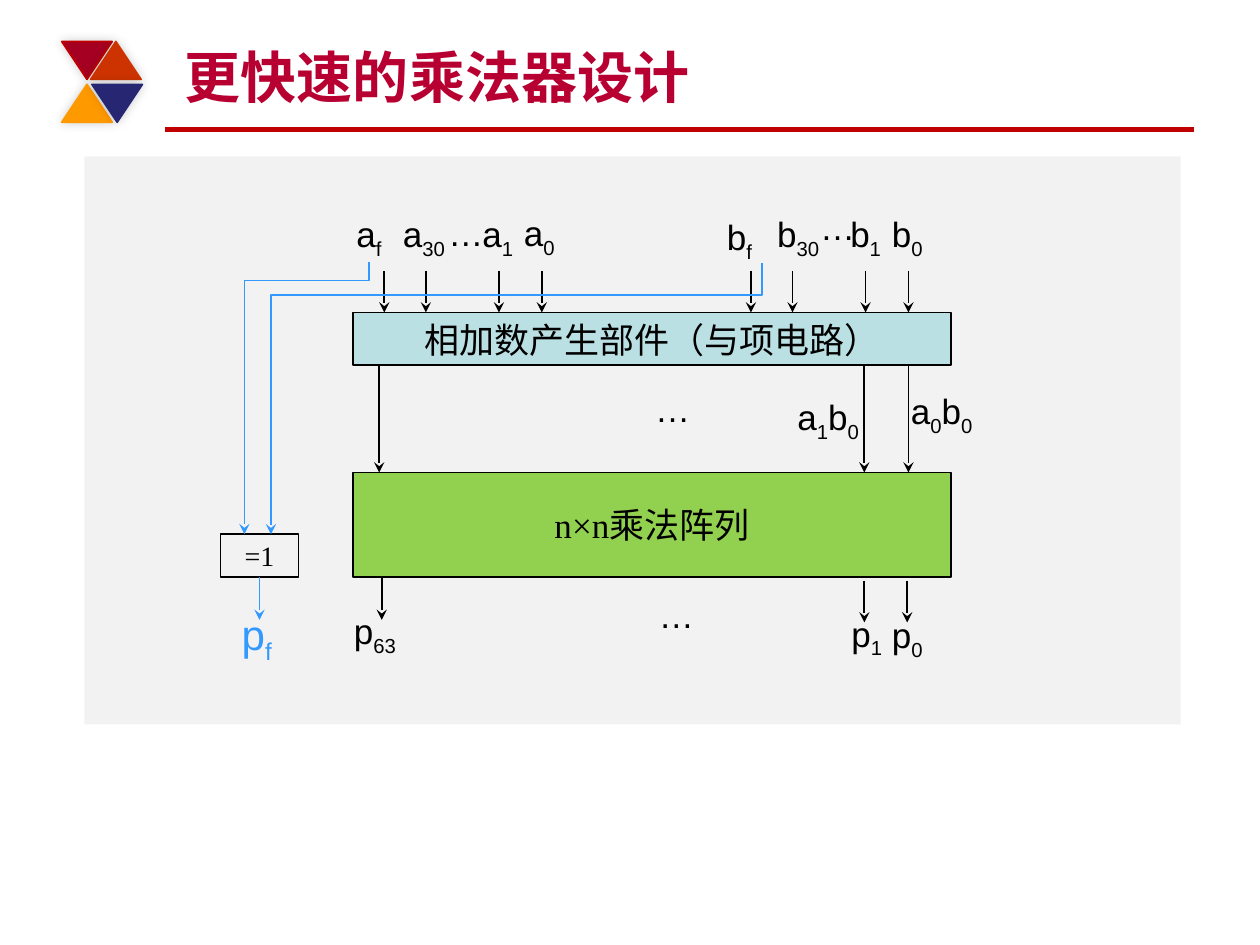
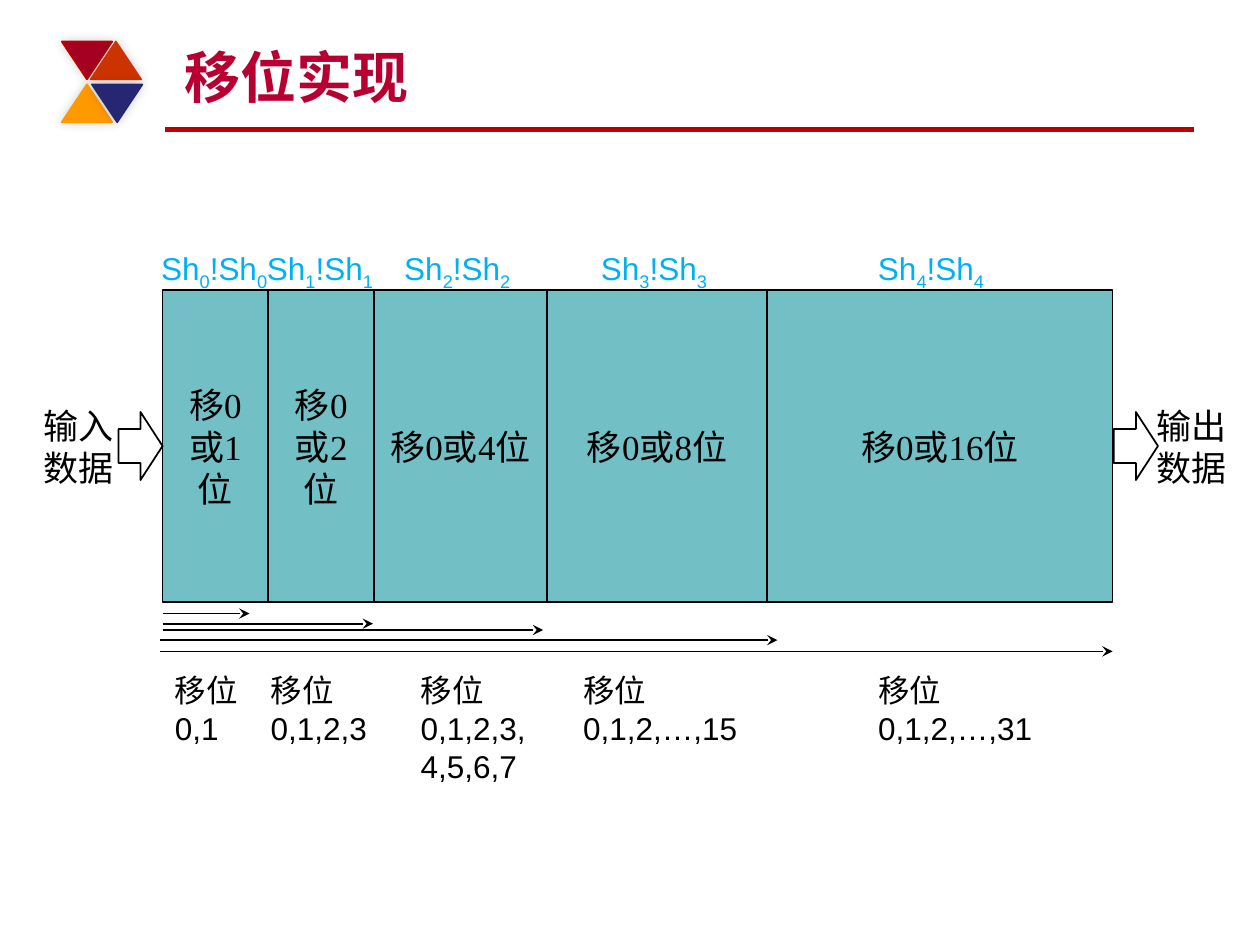
from dataclasses import dataclass

from pptx import Presentation, oxml, util as u
from pptx.dml.color import RGBColor
from pptx.enum import shapes, text
from pptx.oxml import ns

I = u.Inches
MSO = shapes.MSO_SHAPE
MID = text.MSO_ANCHOR.MIDDLE


@dataclass(frozen=True)
class Theme:
    font: str = "Arial"
    serif: str = "Times New Roman"
    title: str = "B70031"
    rule: str = "C00000"
    ink: str = "000000"
    panel: str = "F2F2F2"
    addend: str = "BBE0E3"
    array: str = "92D050"
    sign: str = "3399FF"
    stage: str = "72BFC5"
    control: str = "00B0F0"
    title_size: int = 32
    sign_size: int = 24
    size: int = 20
    note_size: int = 18
    gate_size: int = 16


T = Theme()


def put(s, words, x, y, w, h, size=T.size, color=T.ink, font=T.font, bold=False,
        kind=None, fill=None, line=None, anchor=text.MSO_ANCHOR.TOP, wrap=True):
    """Add a text box, or a centred shape if kind is given; ~ marks put subscripts between them."""
    box = I(x), I(y), I(w), I(h)
    if kind is None:
        sp = s.shapes.add_textbox(*box)
    else:
        sp = s.shapes.add_shape(kind, *box)
        sp.shadow.inherit = False
        if fill:
            sp.fill.solid()
            sp.fill.fore_color.rgb = RGBColor.from_string(fill)
        else:
            sp.fill.background()
        if line:
            sp.line.color.rgb = RGBColor.from_string(line)
            sp.line.width = u.Pt(1)
        else:
            sp.line.fill.background()
    tf = sp.text_frame
    tf.word_wrap = wrap
    tf.vertical_anchor = anchor
    for i, row in enumerate(words.split("\n") if words else []):
        p = tf.add_paragraph() if i else tf.paragraphs[0]
        p.alignment = text.PP_ALIGN.CENTER if kind else text.PP_ALIGN.LEFT
        for j, part in enumerate(row.split("~")):
            if not part:
                continue
            r = p.add_run()
            r.text = part
            r.font.name, r.font.size, r.font.bold = font, u.Pt(size), bold
            r.font.color.rgb = RGBColor.from_string(color)
            if j % 2:
                r.font._element.set("baseline", "-25000")
    return sp


def connect(s, x1, y1, x2, y2, color=T.ink, width=1, head=True, bend=None):
    """Draw a line; bend is the share of the drop at which an elbow turns left."""
    if bend is None:
        c = s.shapes.add_connector(shapes.MSO_CONNECTOR.STRAIGHT, I(x1), I(y1), I(x2), I(y2))
    else:
        # The elbow is laid out sideways about its centre, then turned by 90 degrees.
        run, drop = x1 - x2, y2 - y1
        left, top = (x1 + x2 - drop) / 2, (y1 + y2 - run) / 2
        c = s.shapes.add_connector(shapes.MSO_CONNECTOR.ELBOW, I(left), I(top),
                                   I(left + drop), I(top + run))
        c._element.spPr.find(ns.qn("a:xfrm")).set("rot", "5400000")
        guides = c._element.spPr.find(ns.qn("a:prstGeom")).get_or_add_avLst()
        guide = oxml.parse_xml(f'<a:gd {ns.nsdecls("a")} name="adj1" fmla="val {round(bend * 100000)}"/>')
        guides.append(guide)
    c.line.color.rgb = RGBColor.from_string(color)
    c.line.width = u.Pt(width)
    if head:
        c.line._get_or_add_ln().append(oxml.parse_xml(f'<a:tailEnd {ns.nsdecls("a")} type="stealth"/>'))
    c._element.spPr.append(oxml.parse_xml(f'<a:effectLst {ns.nsdecls("a")}/>'))
    return c


prs = Presentation()
prs.slide_width, prs.slide_height = I(10), I(7.5)

# Frame shared by both slides: x, y, rotation, fill, outline of each ornament triangle
ORNAMENT = [
    (0.49, 0.33, 180, "A50021", "C00000"),
    (0.72, 0.33, 0, "CC3300", "CC3300"),
    (0.49, 0.67, 0, "FF9900", "FF9900"),
    (0.73, 0.67, 180, "262673", "262673"),
]
SHADOW = (f'<a:outerShdw {ns.nsdecls("a")} blurRad="76200" dist="0" dir="18900000">'
          '<a:srgbClr val="000000"><a:alpha val="20000"/></a:srgbClr></a:outerShdw>')
slides = []
for heading in ("更快速的乘法器设计", "移位实现"):
    s = prs.slides.add_slide(prs.slide_layouts[6])
    connect(s, 1.31, 1.03, 9.48, 1.03, T.rule, width=3, head=False)
    for x, y, turn, fill, line in ORNAMENT:
        sp = put(s, "", x, y, 0.4, 0.3, kind=MSO.ISOSCELES_TRIANGLE, fill=fill, line=line)
        sp.rotation = turn
        sp._element.spPr.find(ns.qn("a:effectLst")).append(oxml.parse_xml(SHADOW))
    put(s, heading, 1.37, 0.25, 8, 0.67, T.title_size, T.title, bold=True,
        anchor=text.MSO_ANCHOR.BOTTOM)
    slides.append(s)

# Slide 1: multiplier with AND terms, array and sign gate
s = slides[0]
put(s, "", 0.67, 1.24, 8.7, 4.51, kind=MSO.RECTANGLE, fill=T.panel)
put(s, "相加数产生部件（与项电路）", 2.8, 2.48, 4.75, 0.42, font=T.serif,
    kind=MSO.RECTANGLE, fill=T.addend, line=T.ink)
put(s, "n×n乘法阵列", 2.8, 3.75, 4.75, 0.83, font=T.serif,
    kind=MSO.RECTANGLE, fill=T.array, line=T.ink, anchor=MID)
gate = put(s, "=1", 1.75, 4.24, 0.62, 0.34, T.gate_size, font=T.serif,
           kind=MSO.RECTANGLE, line=T.ink, anchor=MID)

for operand_x in (3.05, 5.96):
    for dx in (0, 0.33, 0.91, 1.25):
        connect(s, operand_x + dx, 2.15, operand_x + dx, 2.48)
for x in (3.01, 6.86, 7.21):
    connect(s, x, 2.9, x, 3.75)
for x, y in ((3.03, 4.59), (6.86, 4.61), (7.2, 4.61)):
    connect(s, x, y, x, y + 0.33)
connect(s, 2.93, 2.08, 1.94, 4.24, T.sign, bend=0.068)
connect(s, 6.05, 2.09, 2.15, 4.24, T.sign, bend=0.118)
connect(s, 2.06, 4.58, 2.06, 4.92, T.sign).begin_connect(gate, 2)

for label, x, y, w in [
    ("a~f~", 2.73, 1.64, 0.41), ("a~30~", 3.1, 1.64, 0.56), ("…", 3.46, 1.63, 0.48),
    ("a~1~", 3.73, 1.64, 0.46), ("a~0~", 4.06, 1.63, 0.46),
    ("b~f~", 5.67, 1.66, 0.41), ("b~30~", 6.07, 1.64, 0.56), ("…", 6.41, 1.58, 0.48),
    ("b~1~", 6.65, 1.64, 0.46), ("b~0~", 6.98, 1.64, 0.46),
    ("…", 5.1, 3.03, 0.48), ("a~1~b~0~", 6.23, 3.09, 0.72), ("a~0~b~0~", 7.13, 3.04, 0.72),
    ("p~63~", 2.71, 4.79, 0.56), ("…", 5.13, 4.66, 0.48),
    ("p~1~", 6.66, 4.81, 0.46), ("p~0~", 6.98, 4.82, 0.46),
]:
    put(s, label, x, y, w, 0.44, wrap=False)
put(s, "p~f~", 1.82, 4.78, 0.45, 0.5, T.sign_size, T.sign, wrap=False)

# Slide 2: five shifter stages between input and output
s = slides[1]
edges = [1.29, 2.13, 2.97, 4.34, 6.09, 8.83]
# control x, control width, reach from x, reach to x, reach y, shifts, shifts x, shifts width
stages = [
    (1.18, 1.18, 1.29, 1.98, 4.87, "0,1", 1.29, 0.97),
    (2.02, 1.18, 1.29, 2.96, 4.95, "0,1,2,3", 2.05, 0.97),
    (3.11, 1.18, 1.29, 4.31, 5, "0,1,2,3,4,5,6,7", 3.24, 1.07),
    (4.67, 1.18, 1.27, 6.17, 5.08, "0,1,2,…,15", 4.53, 1.84),
    (6.87, 1.76, 1.27, 8.83, 5.17, "0,1,2,…,31", 6.87, 1.71),
]
for n, (cx, cw, x1, x2, y, shifts, tx, tw) in enumerate(stages):
    put(s, f"移0或{2 ** n}位", edges[n], 2.3, edges[n + 1] - edges[n], 2.48, font=T.serif,
        kind=MSO.RECTANGLE, fill=T.stage, line=T.ink, anchor=MID)
    put(s, f"Sh~{n}~!Sh~{n}~", cx, 1.93, cw, 0.4, T.note_size, T.control)
    connect(s, x1, y, x2, y)
    put(s, f"移位\n{shifts}", tx, 5.28, tw, 0.71, T.note_size)

for arrow_x, label, label_x in ((0.94, "输入数据", 0.25), (8.84, "输出数据", 9.08)):
    put(s, "", arrow_x, 3.27, 0.35, 0.54, kind=MSO.RIGHT_ARROW, line=T.ink)
    put(s, label, label_x, 3.16, 0.83, 0.77)

prs.save("out.pptx")
